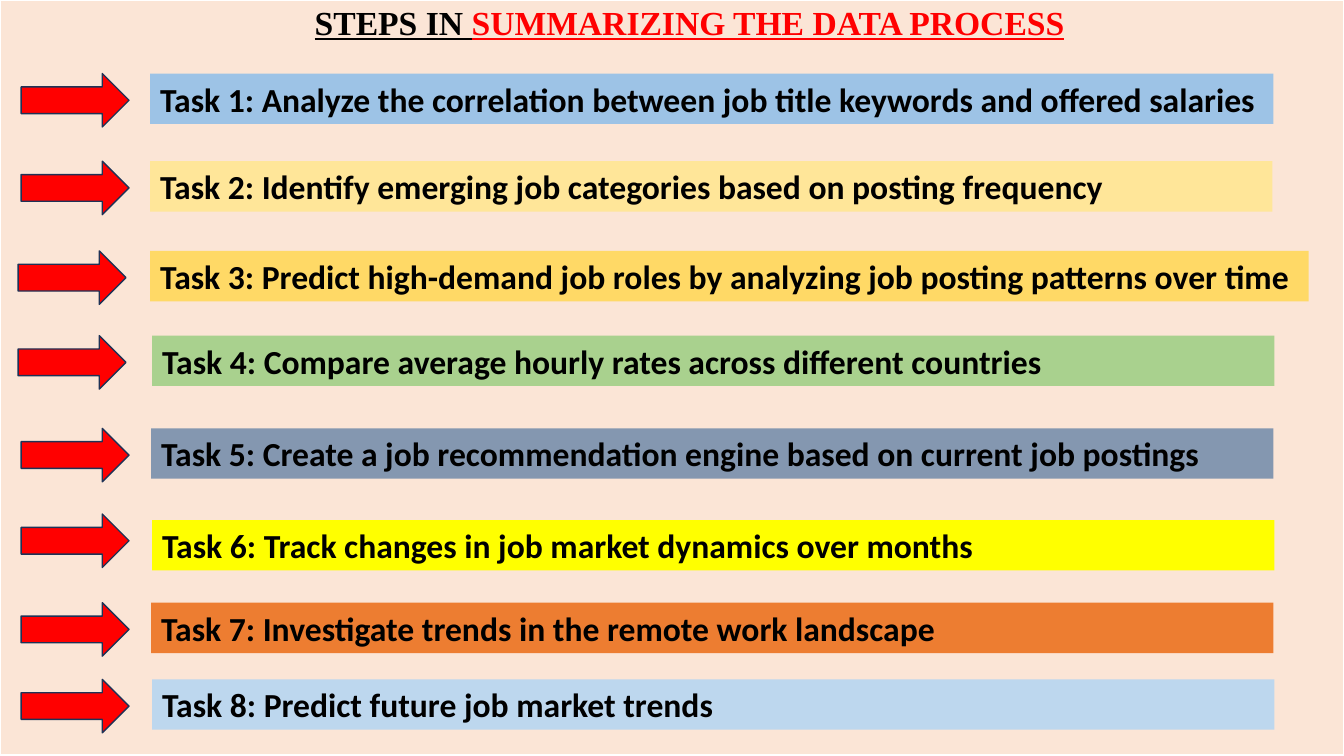
from lxml import etree
from pptx import Presentation, util as u
from pptx.dml.color import RGBColor
from pptx.enum import shapes, text
from pptx.oxml.ns import qn

SLIDE_W, SLIDE_H = 13.33, 7.5
BACKDROP = "FBE5D6"
HEADING = [("STEPS IN ", "000000"), ("SUMMARIZING THE DATA PROCESS", "FF0000")]
# task, bar colour, bar left, bar top, bar width, arrow left, arrow top
TASKS = [
    ("Analyze the correlation between job title keywords and offered salaries",
     "9DC3E6", 1.49, 0.73, 11.14, 0.21, 0.73),
    ("Identify emerging job categories based on posting frequency",
     "FFE699", 1.49, 1.6, 11.13, 0.21, 1.6),
    ("Predict high-demand job roles by analyzing job posting patterns over time",
     "FFD966", 1.49, 2.49, 11.49, 0.18, 2.49),
    ("Compare average hourly rates across different countries",
     "A9D18E", 1.51, 3.33, 11.13, 0.18, 3.33),
    ("Create a job recommendation engine based on current job postings",
     "8497B0", 1.5, 4.25, 11.13, 0.21, 4.25),
    ("Track changes in job market dynamics over months",
     "FFFF00", 1.51, 5.16, 11.13, 0.21, 5.1),
    ("Investigate trends in the remote work landscape",
     "ED7D31", 1.5, 5.98, 11.13, 0.21, 5.98),
    ("Predict future job market trends",
     "BDD7EE", 1.51, 6.74, 11.13, 0.21, 6.74),
]
BORDERS = [("lnL", 1), ("lnR", 1), ("lnT", 1), ("lnB", 3)]


def paint(fill, colour):
    fill.solid()
    fill.fore_color.rgb = RGBColor.from_string(colour)


def box(left, top, width, height):
    return [u.Inches(n) for n in (left, top, width, height)]


def write(paragraph, words, font, colour, underline=False):
    run = paragraph.add_run()
    run.text = words
    run.font.name, run.font.size = font, u.Pt(24)
    run.font.bold, run.font.underline = True, underline
    paint(run.font.fill, colour)


def add_backdrop(slide):
    """Fill the slide with a one-cell table behind everything else."""
    frame = slide.shapes.add_table(1, 1, *box(0, 0, SLIDE_W, SLIDE_H))
    cell = frame.table.cell(0, 0)
    paint(cell.fill, BACKDROP)
    properties = cell._tc.get_or_add_tcPr()
    for place, (side, points) in enumerate(BORDERS):
        line = etree.Element(qn(f"a:{side}"), w=str(u.Pt(points)))
        fill = etree.SubElement(line, qn("a:solidFill"))
        etree.SubElement(fill, qn("a:srgbClr"), val="FFFFFF")
        properties.insert(place, line)
    slide.shapes._spTree.insert(2, frame._element)


def add_heading(slide):
    heading = slide.shapes.title
    heading.left, heading.top, heading.width, heading.height = box(1.51, 0, 10.66, 0.77)
    frame = heading.text_frame
    frame.word_wrap = True
    frame.auto_size = text.MSO_AUTO_SIZE.NONE
    frame.vertical_anchor = text.MSO_ANCHOR.BOTTOM
    frame.margin_bottom = u.Inches(0.35)
    paragraph = frame.paragraphs[0]
    paragraph.alignment = text.PP_ALIGN.CENTER
    paragraph.line_spacing = 0.9
    for words, colour in HEADING:
        write(paragraph, words, "Times New Roman", colour, underline=True)


def add_arrow(slide, left, top):
    arrow = slide.shapes.add_shape(
        shapes.MSO_SHAPE.RIGHT_ARROW, *box(left, top, 1.07, 0.53))
    arrow.shadow.inherit = False
    paint(arrow.fill, "FF0000")
    paint(arrow.line.fill, "1E3256")
    arrow.line.width = u.Pt(1)


def add_bar(slide, words, colour, left, top, width):
    bar = slide.shapes.add_textbox(*box(left, top, width, 0.5))
    paint(bar.fill, colour)
    bar.text_frame.word_wrap = True
    bar.text_frame.auto_size = text.MSO_AUTO_SIZE.SHAPE_TO_FIT_TEXT
    write(bar.text_frame.paragraphs[0], words, "Calibri", "000000")


def main():
    deck = Presentation()
    deck.slide_width, deck.slide_height = u.Inches(SLIDE_W), u.Inches(SLIDE_H)
    slide = deck.slides.add_slide(deck.slide_layouts[5])
    add_backdrop(slide)
    add_heading(slide)
    for number, (task, colour, left, top, width, arrow_left, arrow_top) in enumerate(TASKS, 1):
        add_arrow(slide, arrow_left, arrow_top)
        add_bar(slide, f"Task {number}: {task}", colour, left, top, width)
    deck.save("out.pptx")


if __name__ == "__main__":
    main()
